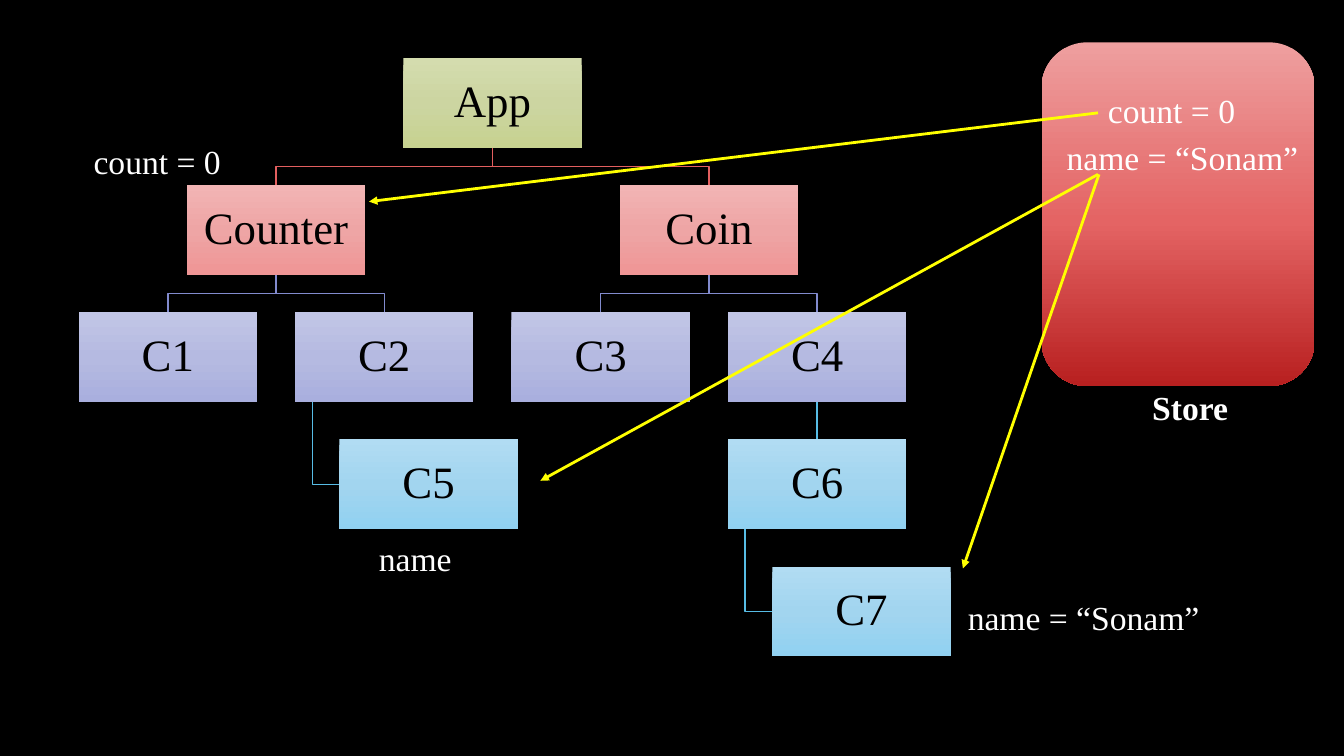
from copy import deepcopy
from pptx import Presentation
from pptx.dml.color import RGBColor
from pptx.enum.shapes import MSO_CONNECTOR as CONN, MSO_SHAPE as SHAPE
from pptx.enum.text import MSO_ANCHOR as ANCHOR, MSO_AUTO_SIZE as AUTO, PP_ALIGN as ALIGN
from pptx.oxml.ns import qn
from pptx.util import Inches, Pt
from lxml import etree

COLORS = {
    "back": "000000", "text": "FFFFFF", "arrow": "FFFF00",
    "root": ("D4DCAE", "CCD5A1", "C7D290"),
    "branch": ("F2B4B4", "EEA5A5", "EF9595"),
    "child": ("C2C6E6", "B5BAE1", "A9AFDE"),
    "leaf": ("B1DCF3", "A2D5EF", "91D1F1"),
    "store": ("EE9F9F", "E46464", "B82020"),
    "branch line": "E35F5F", "child line": "828BCE", "leaf line": "57BCE5",
}
BOX_W, BOX_H = 1.77, 0.89
LEFT, TOP = 0.78, 0.58
COL_STEP, ROW_STEP = 6.44 / 3, 1.26
HANG, STEM = 0.44, 0.17

TREE = [
    ("App", 1.5, 0, "root", None, False),
    ("Counter", 0.5, 1, "branch", "App", False),
    ("Coin", 2.5, 1, "branch", "App", False),
    ("C1", 0, 2, "child", "Counter", False),
    ("C2", 1, 2, "child", "Counter", False),
    ("C3", 2, 2, "child", "Coin", False),
    ("C4", 3, 2, "child", "Coin", False),
    ("C5", 1, 3, "leaf", "C2", True),
    ("C6", 3, 3, "leaf", "C4", False),
    ("C7", 3, 4, "leaf", "C6", True),
]
LABELS = [
    ("Store", 11.33, 3.83, 0.96, True),
    ("count = 0", 0.83, 1.39, 1.53, False),
    ("name = “Sonam”", 9.5, 5.92, 2.52, False),
    ("name", 3.66, 5.33, 0.93, False),
    ("count = 0", 10.89, 0.89, 1.53, False),
    ("name = “Sonam”", 10.48, 1.35, 2.52, False),
]
ARROWS = [
    (10.89, 1.12, 3.66, 2),
    (10.9, 1.73, 9.55, 5.64),
    (10.89, 1.73, 5.36, 4.77),
]


def add_gradient_box(kind, x, y, w, h, colors, middle=0.5):
    sp = s.shapes.add_shape(kind, Inches(x), Inches(y), Inches(w), Inches(h))
    sp.shadow.inherit = False
    sp.line.fill.background()
    sp.fill.gradient()
    sp.fill.gradient_angle = 270
    first = sp._element.spPr.find(".//" + qn("a:gs"))
    first.addnext(deepcopy(first))
    for stop, color, pos in zip(sp.fill.gradient_stops, colors, (0, middle, 1)):
        stop.color.rgb = RGBColor.from_string(color)
        stop.position = pos
    return sp


def set_text(sp, text, size, color, bold=False):
    p = sp.text_frame.paragraphs[0]
    p.text = text
    p.line_spacing = 0.9
    font = p.runs[0].font
    font.name, font.size, font.bold = "Times New Roman", Pt(size), bold
    font.color.rgb = RGBColor.from_string(color)
    return p


prs = Presentation()
prs.slide_width, prs.slide_height = Inches(13.33), Inches(7.5)
s = prs.slides.add_slide(prs.slide_layouts[6])
s.background.fill.solid()
s.background.fill.fore_color.rgb = RGBColor.from_string(COLORS["back"])

places = {name: (LEFT + col * COL_STEP + (HANG if hangs else 0), TOP + row * ROW_STEP)
          for name, col, row, level, parent, hangs in TREE}

for name, col, row, level, parent, hangs in TREE[1:]:
    x, y = places[name]
    parent_x, parent_y = places[parent]
    start_y = parent_y + BOX_H
    mid_x, parent_mid = x + BOX_W / 2, parent_x + BOX_W / 2
    if hangs:
        stem_x, mid_y = parent_x + STEM, y + BOX_H / 2
        points = [(stem_x, start_y), (stem_x, mid_y), (x, mid_y)]
    else:
        bend_y = (start_y + y) / 2
        points = [(parent_mid, start_y), (parent_mid, bend_y), (mid_x, bend_y), (mid_x, y)]
    if x == parent_x:
        link = s.shapes.add_connector(CONN.STRAIGHT, Inches(mid_x), Inches(start_y),
                                      Inches(mid_x), Inches(y))
        etree.SubElement(link._element.spPr, qn("a:effectLst"))
    else:
        points = [(Inches(px), Inches(py)) for px, py in points]
        path = s.shapes.build_freeform(*points[0])
        path.add_line_segments(points[1:], close=False)
        link = path.convert_to_shape()
        link.fill.background()
        link.shadow.inherit = False
    link.line.color.rgb = RGBColor.from_string(COLORS[level + " line"])
    link.line.width = Pt(1)

for name, col, row, level, parent, hangs in TREE:
    sp = add_gradient_box(SHAPE.RECTANGLE, *places[name], BOX_W, BOX_H, COLORS[level])
    tf = sp.text_frame
    tf.margin_left = tf.margin_right = tf.margin_top = tf.margin_bottom = Inches(0.02)
    tf.vertical_anchor = ANCHOR.MIDDLE
    set_text(sp, name, 32, COLORS["back"]).alignment = ALIGN.CENTER

add_gradient_box(SHAPE.ROUNDED_RECTANGLE, 10.33, 0.42, 2.71, 3.41, COLORS["store"], 0.52)

for text, x, y, w, bold in LABELS:
    sp = s.shapes.add_textbox(Inches(x), Inches(y), Inches(w), Inches(0.46))
    sp.text_frame.word_wrap = False
    sp.text_frame.auto_size = AUTO.SHAPE_TO_FIT_TEXT
    set_text(sp, text, 24, COLORS["text"], bold)

for ends in ARROWS:
    arrow = s.shapes.add_connector(CONN.STRAIGHT, *[Inches(v) for v in ends])
    arrow.line.color.rgb = RGBColor.from_string(COLORS["arrow"])
    arrow.line.width = Pt(2)
    etree.SubElement(arrow.line._get_or_add_ln(), qn("a:tailEnd"), type="triangle")
    etree.SubElement(arrow._element.spPr, qn("a:effectLst"))

prs.save("out.pptx")
